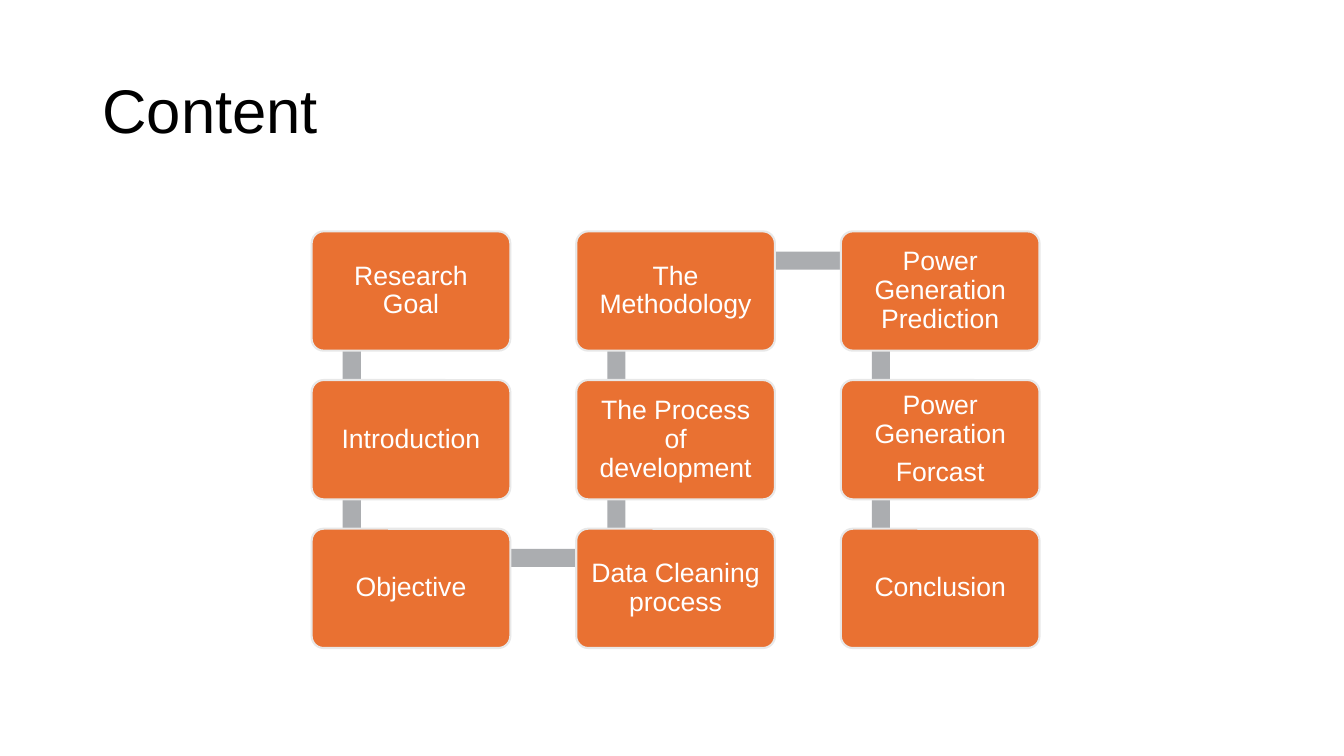
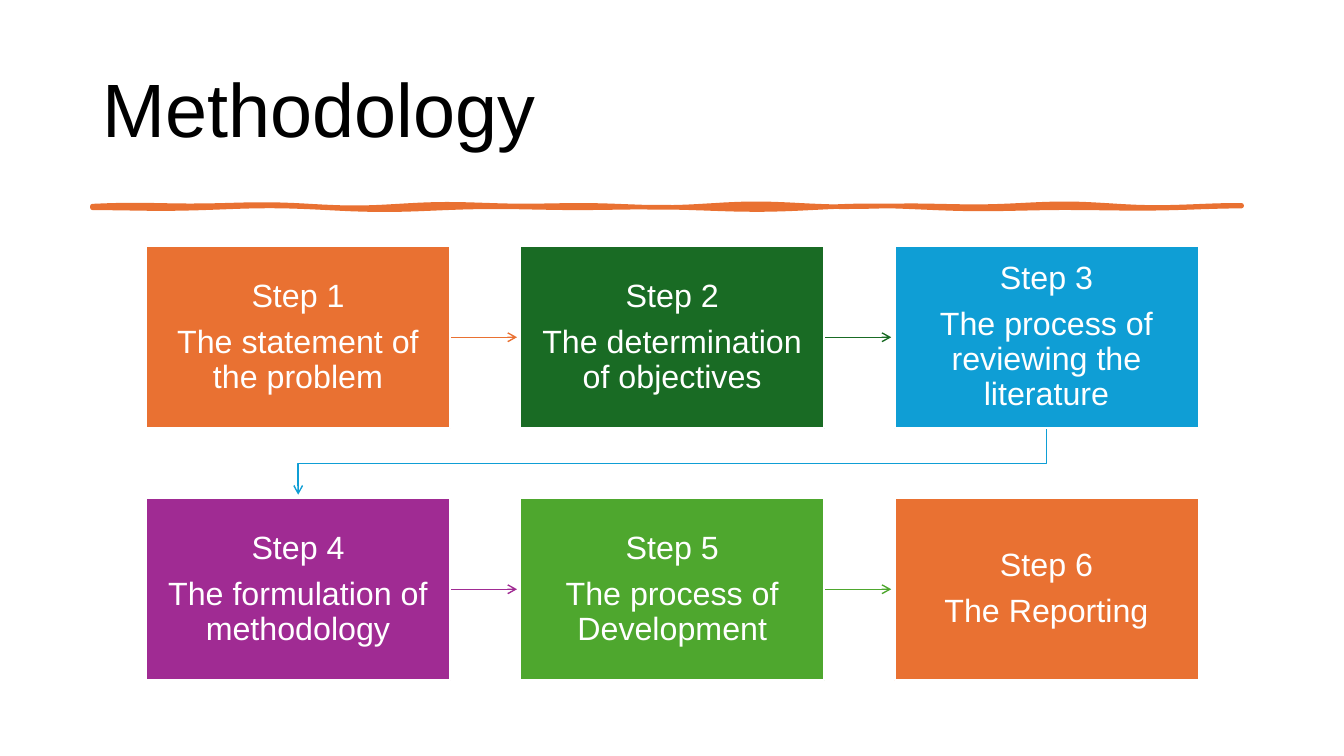
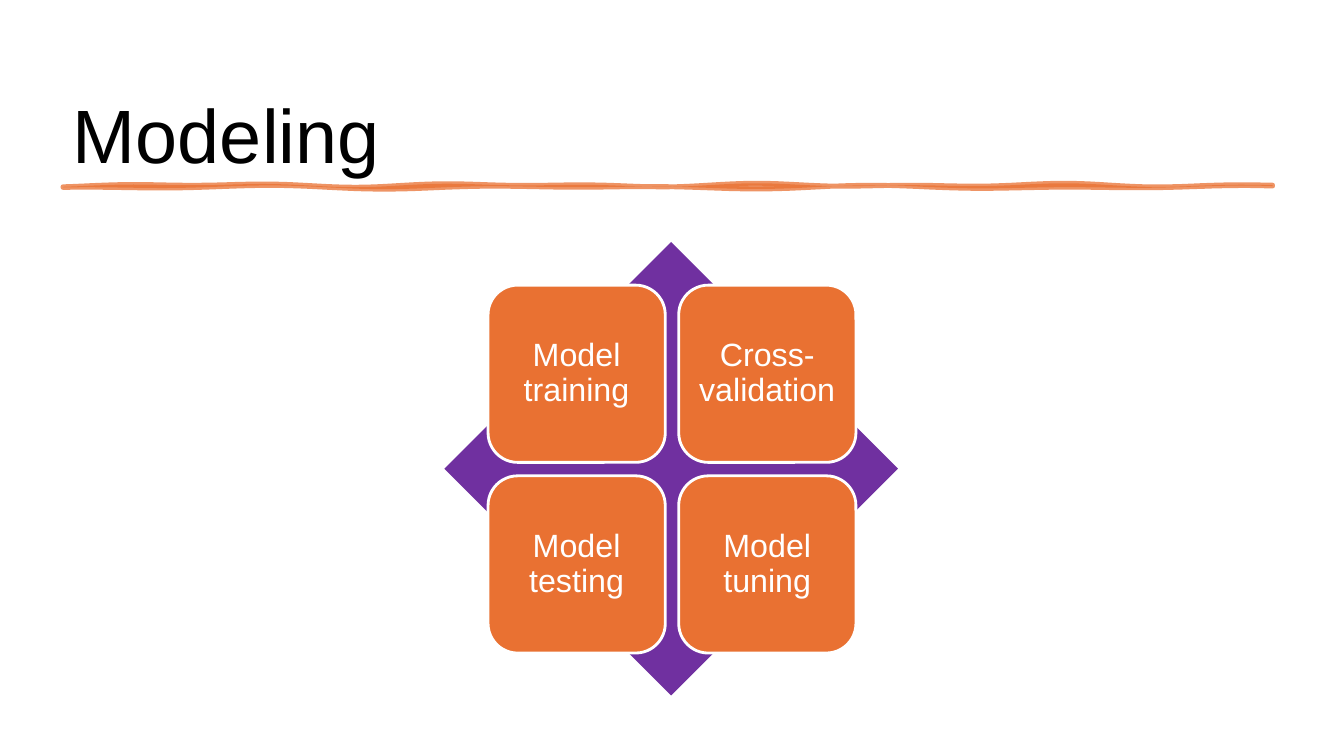
from math import sin

from lxml.etree import SubElement
from pptx import Presentation
from pptx.dml.color import RGBColor
from pptx.enum.shapes import MSO_CONNECTOR as Link, MSO_SHAPE as Preset
from pptx.enum.text import MSO_ANCHOR as Anchor, PP_ALIGN as Align
from pptx.oxml.ns import qn
from pptx.util import Inches, Pt

COLORS = {
    "black": "000000", "white": "FFFFFF", "mist": "E8E8E8", "gray": "ABADB0",
    "orange": "E97132", "forest": "196B24", "blue": "0F9ED5",
    "plum": "A02B93", "green": "4EA72E", "violet": "7030A0",
}
FONT = "Arial"
COLS, ROWS = 160, 90  # grid cells across and down the slide
LINE_SPACING = 0.9
SPACE_AFTER = 0.35  # share of the text size


def rgb(color):
    return RGBColor.from_string(COLORS[color])


def apply(target, formats):
    for attribute, value in formats.items():
        setattr(target, attribute, value)


class Deck:
    """Holds the shared style and the current slide; lengths are grid cells."""

    def __init__(self):
        self.prs = Presentation()
        apply(self.prs, {"slide_width": Inches(13.33), "slide_height": Inches(7.5)})
        self.slide = None

    def x(self, cols):
        return round(self.prs.slide_width * cols / COLS)

    def y(self, rows):
        return round(self.prs.slide_height * rows / ROWS)

    def place(self, left, top, width, height):
        return self.x(left), self.y(top), self.x(width), self.y(height)

    def new_slide(self):
        self.slide = self.prs.slides.add_slide(self.prs.slide_layouts[6])

    def set_text(self, frame, lines, size, color, align, anchor, inset, after=0):
        margin_x, margin_y = map(Inches, inset)
        apply(frame, {
            "word_wrap": True, "vertical_anchor": anchor,
            "margin_left": margin_x, "margin_right": margin_x,
            "margin_top": margin_y, "margin_bottom": margin_y,
        })
        for number, line in enumerate(lines):
            paragraph = frame.add_paragraph() if number else frame.paragraphs[0]
            apply(paragraph, {"alignment": align, "line_spacing": LINE_SPACING,
                              "space_after": Pt(size * after)})
            run = paragraph.add_run()
            run.text = line
            apply(run.font, {"name": FONT, "size": Pt(size)})
            run.font.color.rgb = rgb(color)

    def title(self, text, place=(11, 4.8, 138, 17.4), size=54, anchor=Anchor.MIDDLE):
        heading = self.slide.shapes.add_textbox(*self.place(*place))
        self.set_text(heading.text_frame, [text], size, "black", Align.LEFT,
                      anchor, (0.1, 0.05))

    def stroke(self, line, color, width):
        line.color.rgb = rgb(color)
        line.width = Pt(width)

    def arrowhead(self, arrow):
        SubElement(arrow._element.spPr.find(qn("a:ln")), qn("a:tailEnd"), type="arrow")

    def block(self, preset, place, fill, border=None, corner=None):
        block = self.slide.shapes.add_shape(preset, *self.place(*place))
        block.shadow.inherit = False
        block.fill.solid()
        block.fill.fore_color.rgb = rgb(fill)
        if border:
            self.stroke(block.line, *border)
        else:
            block.line.fill.background()
        if corner:
            block.adjustments[0] = corner
        return block

    def card(self, preset, place, lines, size, inset, **look):
        card = self.block(preset, place, **look)
        self.set_text(card.text_frame, lines, size, "white", Align.CENTER,
                      Anchor.MIDDLE, inset, SPACE_AFTER)

    def outline(self, points, color, width, close):
        corners = [(self.x(col), self.y(row)) for col, row in points]
        builder = self.slide.shapes.build_freeform(*corners[0])
        builder.add_line_segments(corners[1:], close=close)
        outline = builder.convert_to_shape()
        outline.shadow.inherit = False
        self.stroke(outline.line, color, width)
        return outline

    def arrow(self, start, end, color):
        arrow = self.slide.shapes.add_connector(
            Link.STRAIGHT, self.x(start[0]), self.y(start[1]),
            self.x(end[0]), self.y(end[1]))
        self.stroke(arrow.line, color, 1)
        self.arrowhead(arrow)
        SubElement(arrow._element.spPr, qn("a:effectLst"))

    def bent_arrow(self, points, color):
        bent = self.outline(points, color, 1, close=False)
        bent.fill.background()
        self.arrowhead(bent)

    def brush_line(self, left, row, length, width, opacity=None, steps=120):
        """A hand-drawn rule: two gently waving edges, closed and filled."""
        cols = [left + length * step / steps for step in range(steps + 1)]
        upper = [(c, row + 0.12 * (sin(c / 3) + sin(c / 5.3))) for c in cols]
        lower = [(c, row + 0.24 + 0.12 * (sin(c / 3.7 + 2) + sin(c / 6.1)))
                 for c in cols]
        brush = self.outline(upper + lower[::-1], "orange", width, close=True)
        brush.fill.solid()
        brush.fill.fore_color.rgb = rgb("orange")
        if opacity:
            for tint in brush._element.spPr.iter(qn("a:srgbClr")):
                SubElement(tint, qn("a:alpha"), val=str(opacity * 1000))


def content_slide(deck):
    deck.new_slide()
    deck.title("Content", size=44)
    topics = [
        ["Research Goal"], ["Introduction"], ["Objective"],
        ["Data Cleaning process"], ["The Process of development"],
        ["The Methodology"], ["Power Generation Prediction"],
        ["Power Generation", "Forcast"], ["Conclusion"],
    ]
    pitch_x, pitch_y, thickness = 31.5, 17.7, 2.15

    # The path runs down one column and up the next
    spots = []
    for number in range(len(topics)):
        column, step = divmod(number, 3)
        row = 2 - step if column % 2 else step
        spots.append((37.1 + column * pitch_x, 27.55 + row * pitch_y))

    # Bars between neighbours, behind the cards
    for (left, top), (next_left, next_top) in zip(spots, spots[1:]):
        if left == next_left:
            bar = (left + 3.7, min(top, next_top) + 3.6, thickness, pitch_y)
        else:
            bar = (left + 4.8, top + 2.4, pitch_x, thickness)
        deck.block(Preset.RECTANGLE, bar, "gray")

    for spot, lines in zip(spots, topics):
        deck.card(Preset.ROUNDED_RECTANGLE, (*spot, 23.65, 14.2), lines, 19,
                  (0.08, 0.08), fill="orange", border=("mist", 1.5), corner=0.1)


def methodology_slide(deck):
    deck.new_slide()
    deck.title("Methodology")
    deck.brush_line(11, 24.5, 136.8, 3.25)
    steps = [
        ("The statement of the problem", "orange"),
        ("The determination of objectives", "forest"),
        ("The process of reviewing the literature", "blue"),
        ("The formulation of methodology", "plum"),
        ("The process of Development", "green"),
        ("The Reporting", "orange"),
    ]
    width, height = 36.2, 21.7
    spots = [(17.4 + 44.55 * (n % 3), 29.3 + 30 * (n // 3))
             for n in range(len(steps))]

    # Arrows from each step to the next
    for (left, top), (next_left, next_top), (_, color) in zip(spots, spots[1:], steps):
        middle = top + height / 2
        if top == next_top:
            deck.arrow((left + width, middle), (next_left - 0.4, middle), color)
        else:
            start, end = left + width / 2, next_left + width / 2
            bottom = top + height
            turn = (bottom + next_top) / 2
            deck.bent_arrow([(start, bottom), (start, turn), (end, turn),
                             (end, next_top - 0.4)], color)

    for number, (spot, (task, color)) in enumerate(zip(spots, steps), 1):
        deck.card(Preset.RECTANGLE, (*spot, width, height),
                  [f"Step {number}", task], 23, (0.15, 0.16),
                  fill=color, border=("white", 1.5))


def modeling_slide(deck):
    deck.new_slide()
    deck.title("Modeling", (7.5, 3.1, 144.6, 18.9), anchor=Anchor.BOTTOM)
    deck.brush_line(7.5, 22.05, 144, 3.5, opacity=75)
    deck.block(Preset.DIAMOND, (52.9, 28.8, 54, 54), "violet")

    # Two by two cards over the diamond
    stages = ["Model training", "Cross-validation", "Model testing", "Model tuning"]
    side, pitch = 21.1, 22.7
    for number, stage in enumerate(stages):
        row, column = divmod(number, 2)
        place = (58.1 + column * pitch, 33.95 + row * pitch, side, side)
        deck.card(Preset.ROUNDED_RECTANGLE, place, [stage], 23, (0.1, 0.1),
                  fill="orange", border=("white", 2))


def main():
    deck = Deck()
    for build in (content_slide, methodology_slide, modeling_slide):
        build(deck)
    deck.prs.save("out.pptx")


if __name__ == "__main__":
    main()
